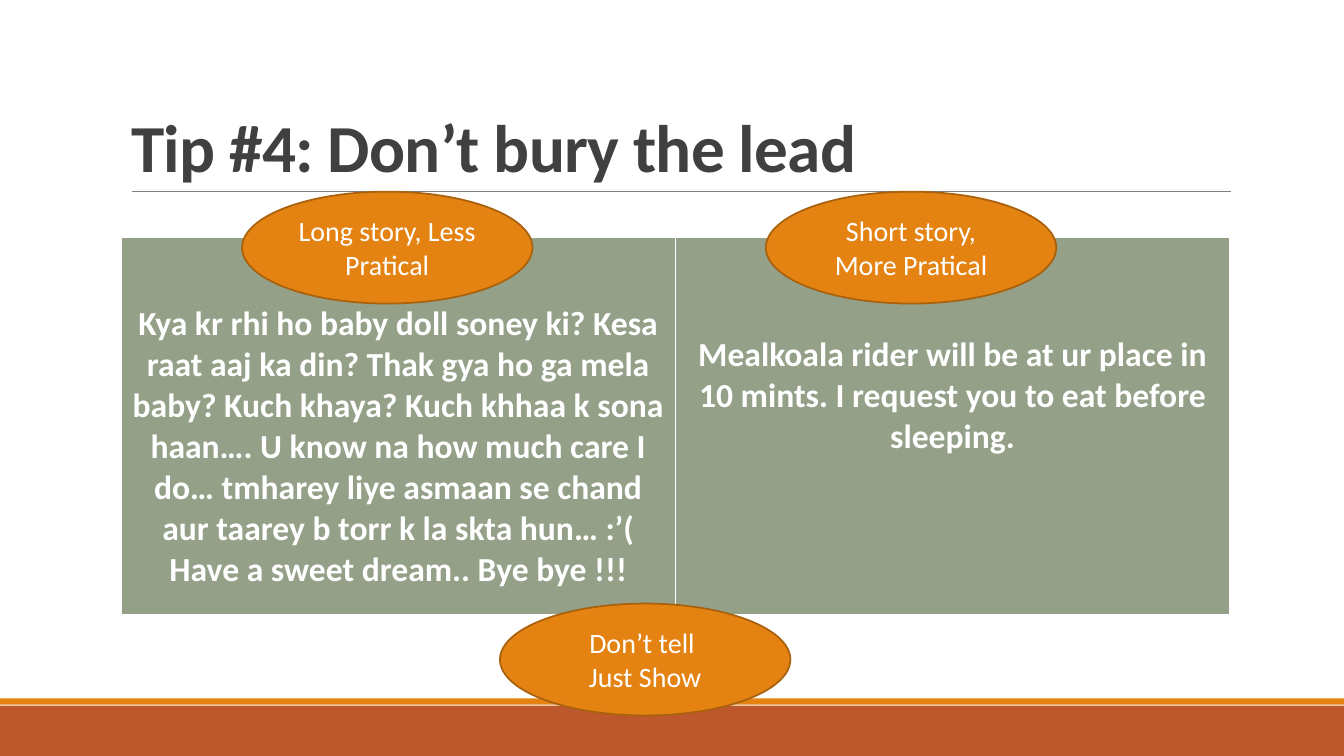
from lxml import etree
from pptx import Presentation, util as u
from pptx.dml.color import RGBColor
from pptx.enum import shapes, text
from pptx.oxml.ns import qn

WHITE, GRAY, DARK = "FFFFFF", "808080", "404040"
ORANGE, RUST, BROWN, SAGE = "E48312", "BD582C", "A9610D", "94A088"
MID, LEFT = text.PP_ALIGN.CENTER, text.PP_ALIGN.LEFT


def color(code):
    return RGBColor.from_string(code)


def box(*sizes):
    return [u.Cm(n) for n in sizes]


def put(item, values):
    for key, value in values.items():
        setattr(item, key, value)


class Deck:
    """Hold the style and the slide, and add each kind of element."""

    def __init__(self, wide, high):
        self.show = Presentation()
        put(self.show, {"slide_width": u.Cm(wide), "slide_height": u.Cm(high)})
        self.slide = self.show.slides.add_slide(self.show.slide_layouts[5])
        self.items = self.slide.shapes
        self.font = "Calibri"

    def label(self, frame, lines, size, tone=WHITE, bold=False, align=MID, lead=1.0):
        frame.word_wrap = True
        for i, line in enumerate(lines):
            para = frame.add_paragraph() if i else frame.paragraphs[0]
            put(para, {"alignment": align, "line_spacing": lead})
            run = para.add_run()
            run.text = line
            put(run.font, {"name": self.font, "size": u.Pt(size), "bold": bold})
            run.font.color.rgb = color(tone)

    def title(self, words, place):
        head = self.items.title
        put(head, dict(zip(("left", "top", "width", "height"), box(*place))))
        frame = head.text_frame
        put(frame, {"auto_size": text.MSO_AUTO_SIZE.NONE,
                    "vertical_anchor": text.MSO_ANCHOR.BOTTOM})
        self.label(frame, [words], 48, DARK, True, LEFT, 0.85)
        frame.paragraphs[0].runs[0].font._element.set("spc", "-50")

    def shape(self, kind, place, fill, edge=None):
        item = self.items.add_shape(kind, *box(*place))
        item.shadow.inherit = False
        item.fill.solid()
        item.fill.fore_color.rgb = color(fill)
        if edge:
            item.line.color.rgb = color(edge)
            item.line.width = u.Pt(1.25)
        else:
            item.line.fill.background()
        return item

    def band(self, top, high, fill):
        self.shape(shapes.MSO_SHAPE.RECTANGLE, (0, top, 33.87, high), fill)

    def oval(self, left, top, lines):
        item = self.shape(shapes.MSO_SHAPE.OVAL, (left, top, 7.32, 2.82), ORANGE, BROWN)
        item.text_frame.vertical_anchor = text.MSO_ANCHOR.MIDDLE
        self.label(item.text_frame, lines, 20)

    def rule(self, left, right, top):
        line = self.items.add_connector(shapes.MSO_CONNECTOR.STRAIGHT,
                                        *box(left, top, right, top))
        line.line.color.rgb = color(GRAY)
        line.line.width = u.Pt(0.5)
        etree.SubElement(line._element.spPr, qn("a:effectLst"))

    def edges(self, cell):
        props = cell._tc.get_or_add_tcPr()
        for i, (side, width) in enumerate({"L": 1, "R": 1, "T": 1, "B": 3}.items()):
            edge = etree.Element(qn("a:ln" + side), w=str(u.Pt(width)))
            fill = etree.SubElement(edge, qn("a:solidFill"))
            etree.SubElement(fill, qn("a:srgbClr"), val=WHITE)
            props.insert(i, edge)

    def table(self, place, cells):
        grid = self.items.add_table(1, len(cells), *box(*place)).table
        for cell, (drop, lines) in zip(grid.rows[0].cells, cells):
            cell.fill.solid()
            cell.fill.fore_color.rgb = color(SAGE)
            cell.margin_top = u.Cm(drop)
            self.label(cell.text_frame, lines, 24, bold=True)
            self.edges(cell)


deck = Deck(33.87, 19.05)
deck.band(17.78, 1.27, RUST)
deck.band(17.6, 0.16, ORANGE)
deck.rule(3.33, 31.01, 4.83)
deck.title("Tip #4: Don’t bury the lead", (3.05, 0.79, 27.94, 4.04))
deck.table((3.05, 5.97, 27.94, 9.55), [
    (1.68, ["Kya kr rhi ho baby doll soney ki? Kesa raat aaj ka din? Thak gya ho ga "
            "mela baby? Kuch khaya? Kuch khhaa k sona haan…. U know na how much care "
            "I do… tmharey liye asmaan se chand aur taarey b torr k la skta hun… :’(",
            "Have a sweet dream.. Bye bye !!!"]),
    (2.45, ["Mealkoala rider will be at ur place in 10 mints. I request you to eat "
            "before sleeping."])])
deck.oval(6.1, 4.83, ["Long story, Less Pratical"])
deck.oval(19.3, 4.83, ["Short story, More Pratical"])
deck.oval(12.6, 15.21, ["Don’t tell ", "Just Show"])
deck.show.save("out.pptx")
